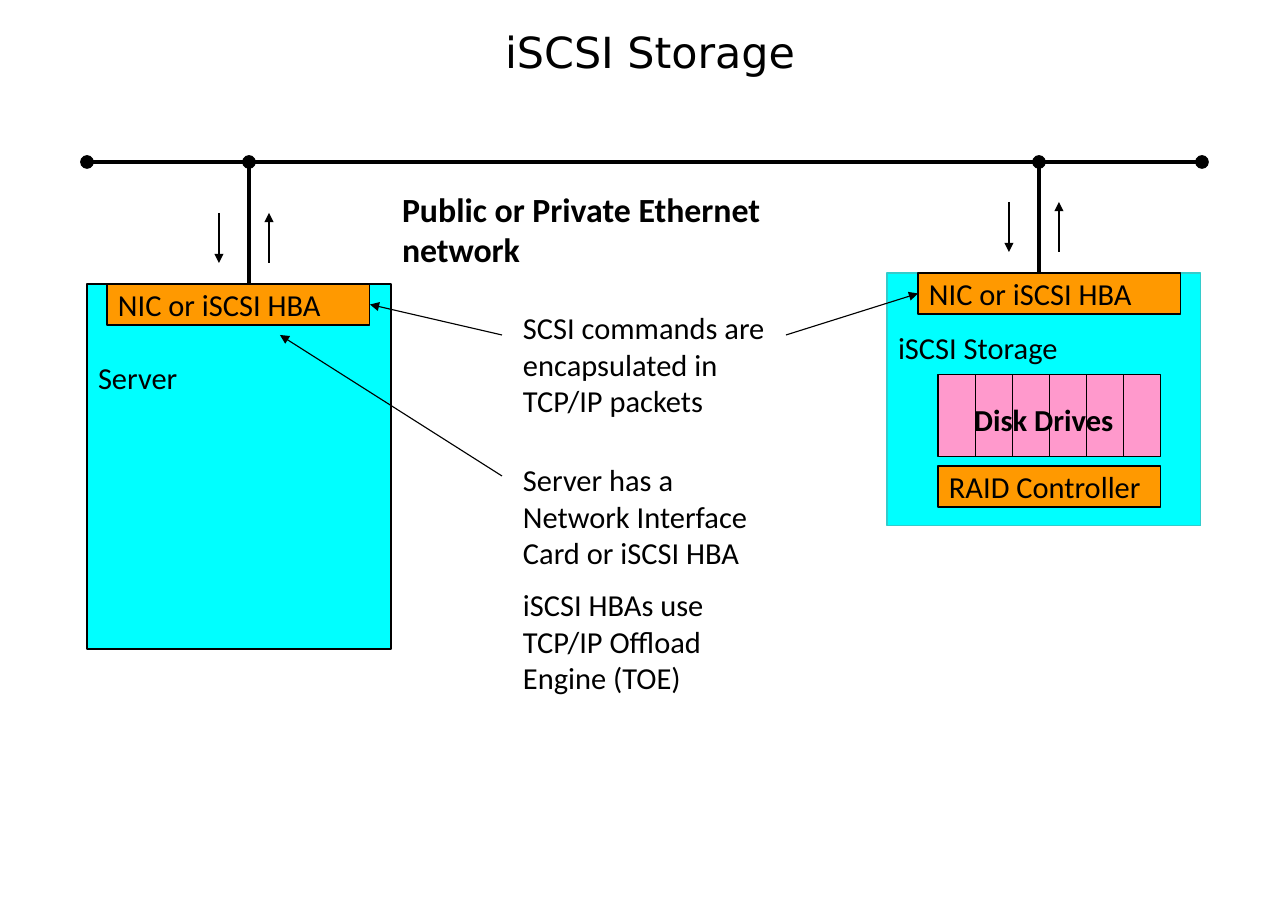
"""Builds the iSCSI storage network diagram slide."""
from lxml.etree import SubElement
from pptx import Presentation
from pptx.dml.color import RGBColor
from pptx.enum.shapes import MSO_CONNECTOR as Link, MSO_SHAPE as Preset
from pptx.enum.text import MSO_ANCHOR as Anchor, PP_ALIGN as Align
from pptx.oxml.ns import qn
from pptx.util import Emu, Pt

COLORS = {"black": "000000", "cyan": "00FFFF", "teal": "33CCCC",
          "orange": "FF9900", "pink": "FF99CC"}
PX = 914400 / 110.2
SLIDE = (1288, 912)

TITLE = ("iSCSI Storage", (94, -3, 1112, 115))
NETWORK = ("Public or Private Ethernet network", (391, 183, 497, 93))
NOTES = [
    (["SCSI commands are encapsulated in TCP/IP packets"], (512, 304, 284, 177)),
    (["Server has a Network Interface Card or iSCSI HBA",
      "iSCSI HBAs use TCP/IP Offload Engine (TOE)"], (512, 456, 273, 250)),
]
HOSTS = [
    {"name": "Server", "box": (87, 284, 304, 365), "line": "black", "label_top": 75,
     "nic_left": 107, "drop": 249, "note_end": (502, 335), "nic_side": 3},
    {"name": "iSCSI Storage", "box": (887, 273, 314, 253), "line": "teal", "label_top": 56,
     "nic_left": 918, "drop": 1039, "note_end": (786, 335), "nic_side": 1},
]
NIC_TEXT, NIC_WIDTH, NIC_HEIGHT = "NIC or iSCSI HBA", 263, 41
RAID = ("RAID Controller", (938, 466, 223, 41))
DISKS = ("Disk Drives", (938, 375, 223, 82), (963, 396, 198, 48))
DISK_COUNT = 6
BUS_LEFT, BUS_RIGHT, BUS_Y = 87, 1202, 162
HBA_POINTER = ((502, 476), (280, 335))


def px(*lengths):
    return [Emu(round(length * PX)) for length in lengths]


def color(name):
    return RGBColor.from_string(COLORS[name])


def write(shape, paragraphs, size=19.9, font="Calibri", bold=False, align=Align.LEFT,
          anchor=Anchor.TOP, spacing=None, top=5.5):
    frame = shape.text_frame
    frame.word_wrap = True
    frame.vertical_anchor = anchor
    frame.margin_left, frame.margin_top, frame.margin_right, frame.margin_bottom = px(
        11, top, 11, 5.5)
    for index, text in enumerate(paragraphs):
        para = frame.add_paragraph() if index else frame.paragraphs[0]
        para.alignment = align
        if spacing:
            para.line_spacing = spacing
        if index:
            para.space_before = Pt(9.9)
        span = para.add_run()
        span.text = text
        span.font.name, span.font.size, span.font.bold = font, Pt(size), bold
        span.font.color.rgb = color("black")


def add_text(shapes, paragraphs, box, **style):
    write(shapes.add_textbox(*px(*box)), paragraphs, **style)


def add_box(shapes, box, fill, line="black"):
    shape = shapes.add_shape(Preset.RECTANGLE, *px(*box))
    shape.shadow.inherit = False
    shape.fill.solid()
    shape.fill.fore_color.rgb = color(fill)
    shape.line.color.rgb = color(line)
    shape.line.width = Pt(0.75)
    return shape


def add_line(shapes, start, end, width=0.75, head=None, tail=None):
    line = shapes.add_connector(Link.STRAIGHT, *px(*start, *end))
    line.line.color.rgb = color("black")
    line.line.width = Pt(width)
    outline = line.line._get_or_add_ln()
    for tag, kind in (("a:headEnd", head), ("a:tailEnd", tail)):
        if kind:
            SubElement(outline, qn(tag), type=kind)
    SubElement(line._element.spPr, qn("a:effectLst"))
    return line


def add_host(shapes, host):
    left, top, width, height = host["box"]
    body = add_box(shapes, host["box"], "cyan", host["line"])
    write(body, [host["name"]], top=host["label_top"])
    nic = add_box(shapes, (host["nic_left"], top, NIC_WIDTH, NIC_HEIGHT), "orange")
    write(nic, [NIC_TEXT], anchor=Anchor.MIDDLE)

    drop, high, low = host["drop"], top - 71, top - 21
    add_line(shapes, (drop, top), (drop, BUS_Y), width=3, tail="oval")
    add_line(shapes, (drop + 20, low), (drop + 20, high), tail="triangle")
    add_line(shapes, (drop - 30, high), (drop - 30, low), tail="triangle")
    pointer = add_line(shapes, host["note_end"], (host["nic_left"], top), tail="triangle")
    pointer.end_connect(nic, host["nic_side"])


def add_disks(shapes):
    name, box, label_box = DISKS
    left, top, width, height = box
    group = shapes.add_group_shape().shapes
    add_box(group, box, "pink")
    for number in range(1, DISK_COUNT):
        x = left + width * number / DISK_COUNT
        add_line(group, (x, top), (x, top + height))
    add_text(shapes, [name], label_box, bold=True)


def main():
    deck = Presentation()
    deck.slide_width, deck.slide_height = px(*SLIDE)
    shapes = deck.slides.add_slide(deck.slide_layouts[6]).shapes

    title, title_box = TITLE
    add_text(shapes, [title], title_box, size=28, font="DejaVu Sans",
             align=Align.CENTER, anchor=Anchor.MIDDLE, spacing=0.9)
    network, network_box = NETWORK
    add_text(shapes, [network], network_box, size=22.1, bold=True)
    for paragraphs, box in NOTES:
        add_text(shapes, paragraphs, box)

    add_line(shapes, (BUS_LEFT, BUS_Y), (BUS_RIGHT, BUS_Y), width=3, head="oval", tail="oval")
    for host in HOSTS:
        add_host(shapes, host)
    raid, raid_box = RAID
    write(add_box(shapes, raid_box, "orange"), [raid], anchor=Anchor.MIDDLE)
    add_disks(shapes)
    add_line(shapes, *HBA_POINTER, tail="triangle")

    deck.save("out.pptx")


if __name__ == "__main__":
    main()
